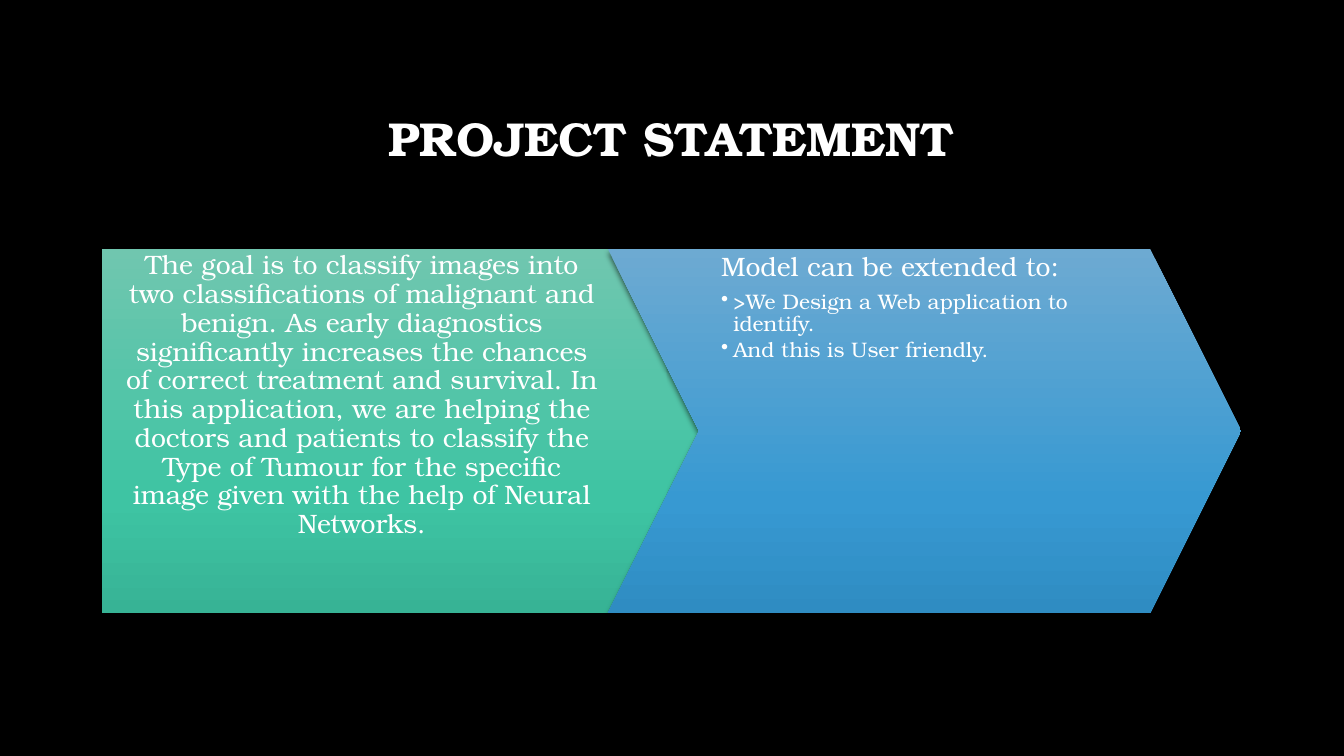
from lxml import etree
from pptx import Presentation
from pptx.dml.color import RGBColor
from pptx.enum.shapes import MSO_SHAPE
from pptx.enum.text import MSO_ANCHOR, PP_ALIGN
from pptx.oxml import parse_xml
from pptx.oxml.ns import nsdecls, qn
from pptx.util import Inches, Pt

PENTAGON, CHEVRON = MSO_SHAPE.PENTAGON, MSO_SHAPE.CHEVRON
TOP, MIDDLE = MSO_ANCHOR.TOP, MSO_ANCHOR.MIDDLE
LEFT, CENTER = PP_ALIGN.LEFT, PP_ALIGN.CENTER

BLACK = RGBColor(0x00, 0x00, 0x00)
WHITE = RGBColor(0xFF, 0xFF, 0xFF)
GREENS = (RGBColor(0x70, 0xC6, 0xAF), RGBColor(0x3E, 0xC4, 0xA3), RGBColor(0x37, 0xB3, 0x95))
BLUES = (RGBColor(0x6D, 0xAA, 0xD2), RGBColor(0x37, 0x99, 0xD2), RGBColor(0x2F, 0x8C, 0xC2))
STOPS = (0, 69, 100)
FONT = "TeX Gyre Bonum"

GOAL = (
    "The goal is to classify images into two classifications of malignant and benign. "
    "As early diagnostics significantly increases the chances of correct treatment and survival. "
    "In this application, we are helping the doctors and patients to classify the Type of Tumour "
    "for the specific image given with the help of Neural Networks."
)
EXTENSIONS = (">We Design a Web application to identify.", "And this is User friendly.")


def set_all(target, values):
    for name, value in values.items():
        setattr(target, name, value)


def format_frame(frame, anchor, left, top, right):
    set_all(frame, {
        "word_wrap": True, "vertical_anchor": anchor,
        "margin_left": Inches(left), "margin_top": Inches(top),
        "margin_right": Inches(right), "margin_bottom": Inches(0.05),
    })


def write_para(para, text, size, align, after=0, bold=False):
    set_all(para, {"alignment": align, "line_spacing": 0.9,
                   "space_before": Pt(0), "space_after": Pt(after)})
    span = para.add_run()
    span.text = text
    set_all(span.font, {"name": FONT, "size": Pt(size), "bold": bold})
    span.font.color.rgb = WHITE


def add_bullet(para):
    para.level = 1
    properties = para._p.get_or_add_pPr()
    indent = Inches(0.12)
    properties.set("marL", str(indent))
    properties.set("indent", str(-indent))
    etree.SubElement(properties, qn("a:buChar"), char="•")


def fill_gradient(shape, colors):
    shape.fill.gradient()
    shape.fill.gradient_angle = 270
    stop_list = shape._element.spPr.find(".//" + qn("a:gsLst"))
    for stop in list(stop_list):
        stop_list.remove(stop)
    for percent, color in zip(STOPS, colors):
        stop = etree.SubElement(stop_list, qn("a:gs"), pos=str(percent * 1000))
        etree.SubElement(stop, qn("a:srgbClr"), val=str(color))


def add_shadow(shape):
    shape.shadow.inherit = False
    effects = shape._element.spPr.find(qn("a:effectLst"))
    effects.append(parse_xml(
        f'<a:outerShdw {nsdecls("a")} blurRad="{Pt(4)}" dist="{Pt(3)}" dir="5400000" '
        f'rotWithShape="0"><a:srgbClr val="{BLACK}"><a:alpha val="54000"/></a:srgbClr></a:outerShdw>'
    ))


def add_arrow(page, kind, left, colors):
    arrow = page.shapes.add_shape(kind, Inches(left), Inches(2.47), Inches(6.28), Inches(3.61))
    arrow.adjustments[0] = 0.25
    fill_gradient(arrow, colors)
    arrow.line.fill.background()
    add_shadow(arrow)
    return arrow.text_frame


def add_title(page, text):
    title = page.shapes.title
    set_all(title, {"left": Inches(1), "top": Inches(0.67),
                    "width": Inches(11.32), "height": Inches(1.45)})
    format_frame(title.text_frame, MIDDLE, 0.1, 0.05, 0.1)
    write_para(title.text_frame.paragraphs[0], text, 34, CENTER, bold=True)


def main():
    deck = Presentation()
    set_all(deck, {"slide_width": Inches(13.33), "slide_height": Inches(7.5)})
    page = deck.slides.add_slide(deck.slide_layouts[5])
    page.background.fill.solid()
    page.background.fill.fore_color.rgb = BLACK
    add_title(page, "PROJECT STATEMENT")

    goal = add_arrow(page, PENTAGON, 1.01, GREENS)
    format_frame(goal, TOP, 0.22, 0.03, 0.89)
    write_para(goal.paragraphs[0], GOAL, 19, CENTER)

    outlook = add_arrow(page, CHEVRON, 6.03, BLUES)
    format_frame(outlook, TOP, 0.22, 0.05, 0.22)
    write_para(outlook.paragraphs[0], "Model can be extended to:", 19, LEFT, after=6)
    for text in EXTENSIONS:
        para = outlook.add_paragraph()
        write_para(para, text, 15, LEFT, after=2)
        add_bullet(para)

    deck.save("out.pptx")


if __name__ == "__main__":
    main()
